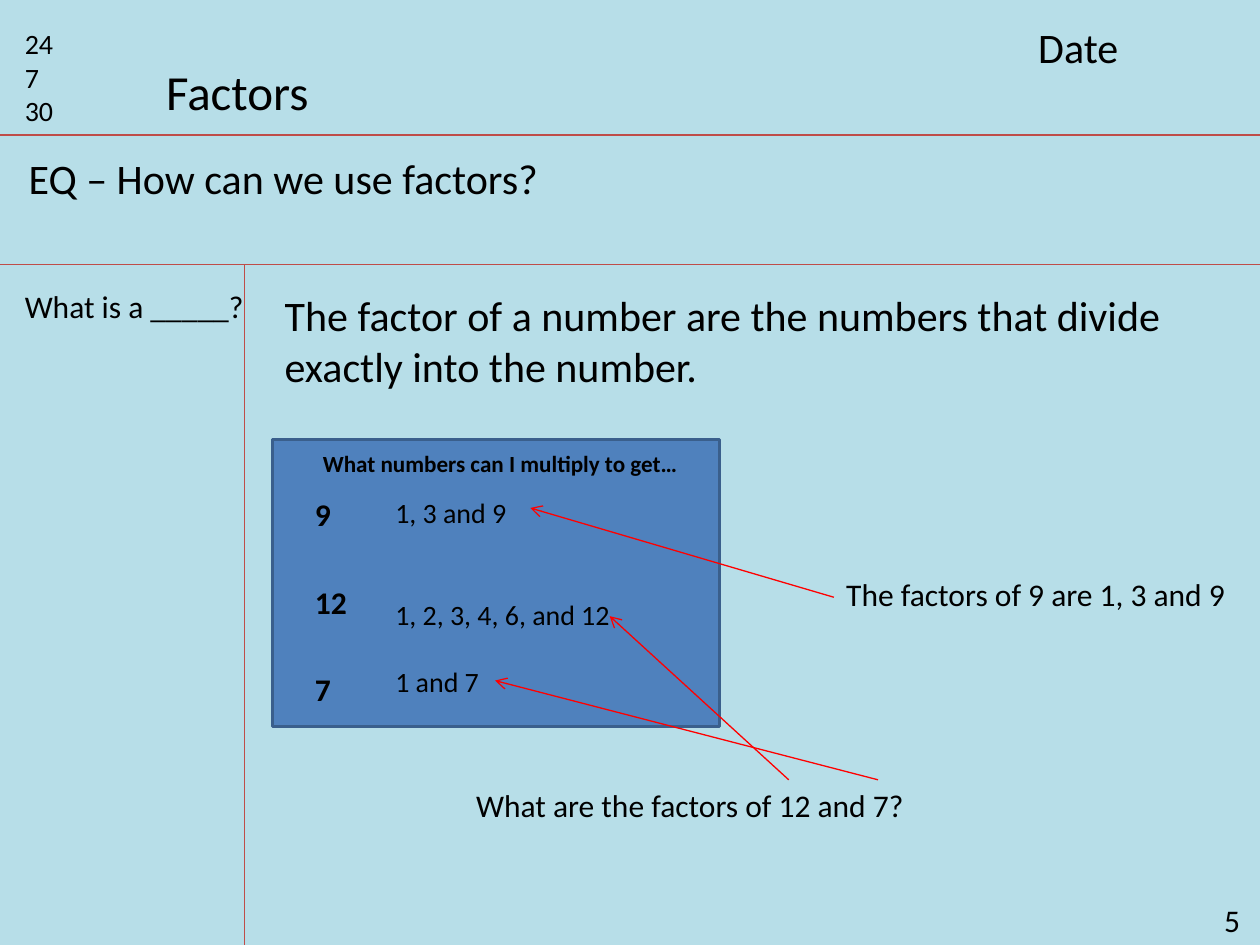
import pptx
import pptx.dml.color
import pptx.enum.shapes
import pptx.enum.text
import pptx.oxml
import pptx.oxml.ns
import pptx.util
from pptx.util import Cm

COLORS = {
    "background": "B7DEE8",
    "text": "000000",
    "rule": "BF4C48",
    "panel": "4F81BD",
    "panel_edge": "3A5F8C",
    "arrow": "FF0000",
}
WIDTH, HEIGHT = 25.4, 19.05
HEADER_Y, QUESTION_Y, MARGIN_X = 2.72, 5.33, 4.93


def color(name):
    return pptx.dml.color.RGBColor.from_string(COLORS[name])


def add_text(s, left, top, width, height, lines, size, bold=False,
             center=False, wrap=True, gaps=()):
    """Add a text box; gaps holds the space before each line after the first."""
    sp = s.shapes.add_textbox(Cm(left), Cm(top), Cm(width), Cm(height))
    tf = sp.text_frame
    tf.word_wrap = wrap
    tf.text = "\n".join(lines)
    for p in tf.paragraphs:
        if center:
            p.alignment = pptx.enum.text.PP_ALIGN.CENTER
        for r in p.runs:
            r.font.name = "Calibri"
            r.font.size = pptx.util.Pt(size)
            r.font.bold = bold
            r.font.color.rgb = color("text")
    for p, gap in zip(tf.paragraphs[1:], gaps):
        p.space_before = pptx.util.Pt(gap)


def add_line(s, x1, y1, x2, y2, name, arrow=False):
    line = s.shapes.add_connector(pptx.enum.shapes.MSO_CONNECTOR.STRAIGHT,
                                  Cm(x1), Cm(y1), Cm(x2), Cm(y2))
    line.line.color.rgb = color(name)
    line.line.width = pptx.util.Pt(0.75)
    if arrow:
        ns = pptx.oxml.ns.nsdecls("a")
        line.line._get_or_add_ln().append(
            pptx.oxml.parse_xml(f'<a:tailEnd {ns} type="arrow"/>'))
    sp_pr = line._element.spPr
    sp_pr.append(sp_pr.makeelement(pptx.oxml.ns.qn("a:effectLst"), {}))


def add_panel(s, left, top, width, height):
    sp = s.shapes.add_shape(pptx.enum.shapes.MSO_SHAPE.RECTANGLE,
                            Cm(left), Cm(top), Cm(width), Cm(height))
    sp.shadow.inherit = False
    sp.fill.solid()
    sp.fill.fore_color.rgb = color("panel")
    sp.line.color.rgb = color("panel_edge")
    sp.line.width = pptx.util.Pt(2)


def main():
    prs = pptx.Presentation()
    prs.slide_width, prs.slide_height = Cm(WIDTH), Cm(HEIGHT)
    s = prs.slides.add_slide(prs.slide_layouts[6])
    s.background.fill.solid()
    s.background.fill.fore_color.rgb = color("background")

    # Notebook page rules
    for y in (HEADER_Y, QUESTION_Y):
        add_line(s, 0, y, WIDTH, y, "rule")
    add_line(s, MARGIN_X, QUESTION_Y, MARGIN_X, HEIGHT, "rule")

    # Header and essential question
    add_text(s, 0.25, 0.41, 1.6, 2.31, ["24", "7", "30"], 16)
    add_text(s, 3.1, 1.12, 3.4, 1.45, ["Factors"], 28, wrap=False)
    add_text(s, 20.68, 0.3, 4.39, 1.27, ["Date"], 24)
    add_text(s, 0.33, 2.95, 23.95, 1.27, ["EQ – How can we use factors?"], 24)

    # Margin prompt and definition
    add_text(s, 0.25, 5.66, 5.13, 1.02, ["What is a _____?"], 18, wrap=False)
    add_text(s, 5.49, 5.72, 19.58, 2.31,
             ["The factor of a number are the numbers that divide exactly "
              "into the number."], 24)

    # Worked examples
    add_panel(s, 5.49, 8.86, 9.02, 5.79)
    add_text(s, 1.57, 8.94, 17.02, 0.79,
             ["What numbers can I multiply to get…"], 13.2,
             bold=True, center=True)
    add_text(s, 6.1, 9.86, 3.25, 5.16, ["9", "12", "7"], 18,
             bold=True, gaps=(28.3, 28.3))
    add_text(s, 7.72, 9.86, 14.58, 4.37,
             ["1, 3 and 9", "1, 2, 3, 4, 6, and 12", "1 and 7"], 16,
             gaps=(39, 19.5))

    # Notes with arrows to the examples
    add_text(s, 16.81, 11.46, 8.26, 1.02,
             ["The factors of 9 are 1, 3 and 9"], 18, wrap=False)
    add_text(s, 9.35, 15.72, 9.25, 1.02,
             ["What are the factors of 12 and 7?"], 18, wrap=False)
    for x1, y1, x2, y2 in ((16.81, 12.04, 10.69, 10.24),
                           (15.9, 15.72, 12.29, 12.42),
                           (17.7, 15.72, 9.98, 13.72)):
        add_line(s, x1, y1, x2, y2, "arrow", arrow=True)

    # Page number
    add_text(s, 24.43, 18.03, 0.97, 1.02, ["5"], 18)

    prs.save("out.pptx")


if __name__ == "__main__":
    main()
